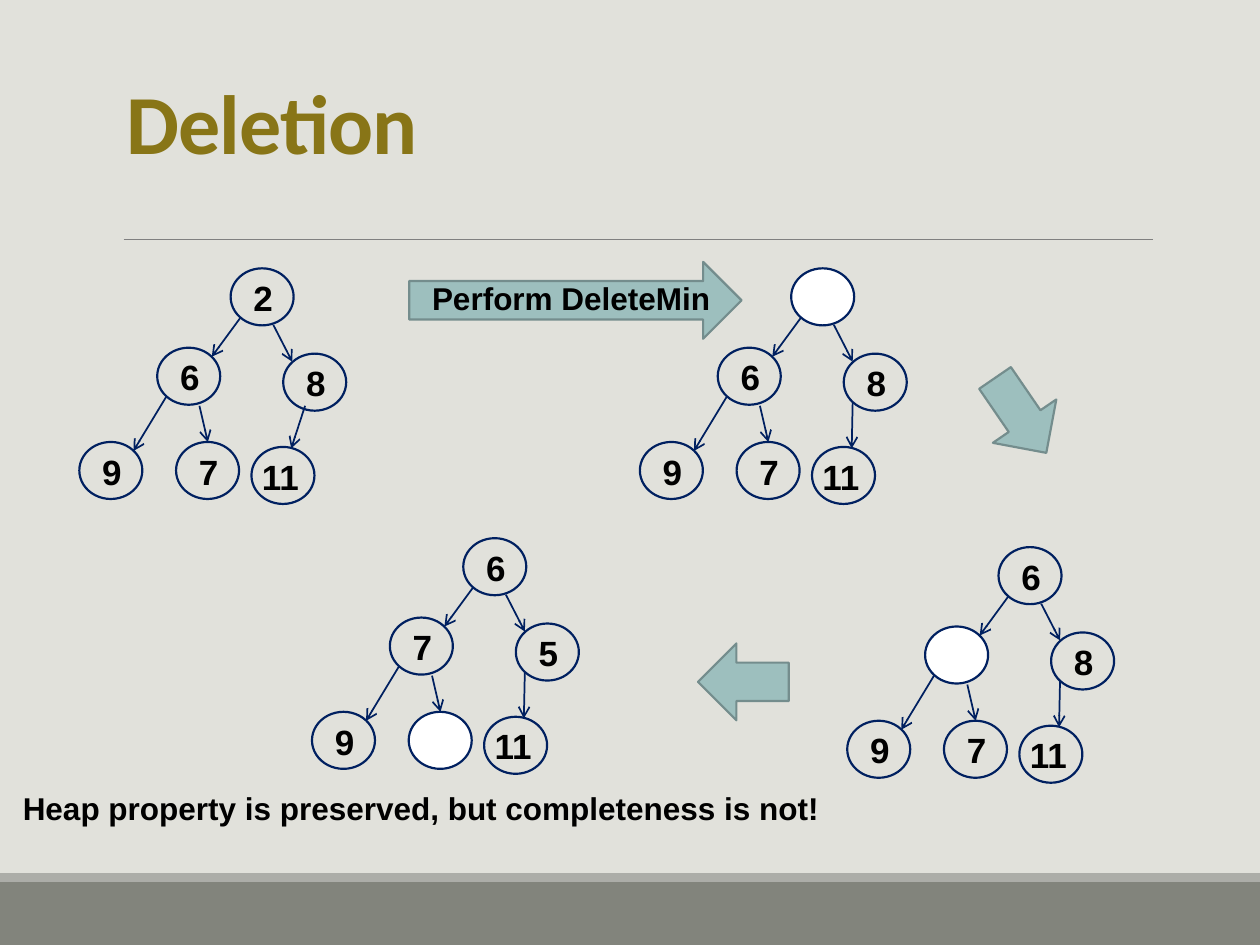
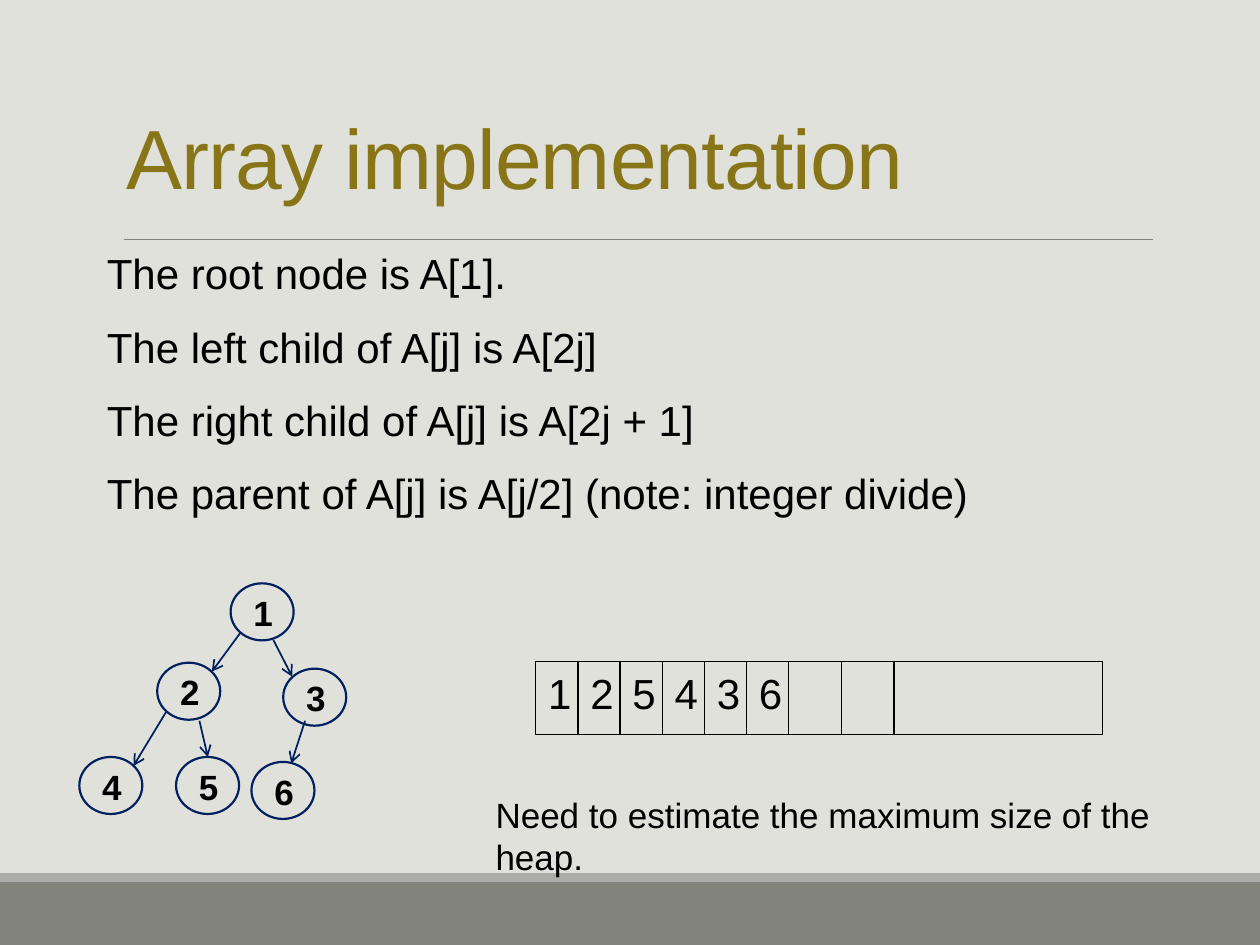
from dataclasses import dataclass
from itertools import accumulate

from lxml import etree
from pptx import Presentation
from pptx.dml.color import RGBColor
from pptx.enum.shapes import MSO_CONNECTOR, MSO_SHAPE
from pptx.enum.text import MSO_ANCHOR, MSO_AUTO_SIZE, PP_ALIGN
from pptx.oxml.ns import qn
from pptx.util import Cm, Pt

LINE = MSO_CONNECTOR.STRAIGHT
RECTANGLE, ELLIPSE, ARROW = MSO_SHAPE.RECTANGLE, MSO_SHAPE.OVAL, MSO_SHAPE.RIGHT_ARROW
BOTTOM, TOP, LEFT = MSO_ANCHOR.BOTTOM, MSO_ANCHOR.TOP, PP_ALIGN.LEFT
NO_AUTOFIT = MSO_AUTO_SIZE.NONE
TITLE_AND_BODY, TITLE_ONLY = 1, 5


@dataclass(frozen=True)
class Theme:
    background: RGBColor = RGBColor.from_string("E1E1DB")
    footer: RGBColor = RGBColor.from_string("82847C")
    footer_edge: RGBColor = RGBColor.from_string("ACADA8")
    rule: RGBColor = RGBColor.from_string("808080")
    title: RGBColor = RGBColor.from_string("887517")
    text: RGBColor = RGBColor.from_string("000000")
    tree: RGBColor = RGBColor.from_string("002060")
    vacant: RGBColor = RGBColor.from_string("FFFFFF")
    arrow: RGBColor = RGBColor.from_string("9DBFBE")
    arrow_edge: RGBColor = RGBColor.from_string("748D8D")
    font: str = "Arial"
    bold_title_font: str = "Calibri"
    title_size: int = 48
    body_size: int = 24
    label_size: int = 20
    caption_size: int = 18


THEME = Theme()

# Tree layout in cm, measured from the corner of the root, in level order
NODE_WIDTH, NODE_HEIGHT = 1.27, 1.15
NODE_OFFSETS = [(0, 0), (-1.48, 1.6), (1.06, 1.72), (-3.05, 3.5), (-1.1, 3.5), (0.42, 3.6)]
EDGES = [
    ((0.2, 0.99), (-0.38, 1.78)),
    ((0.86, 1.14), (1.24, 1.88)),
    ((-1.3, 2.59), (-1.96, 3.68)),
    ((-0.63, 2.77), (-0.46, 3.5)),
]
LAST_EDGE_END = (1.22, 3.63)
SLANTED_START, UPRIGHT_START = (1.5, 2.77), (1.24, 2.69)


# Basic elements
def write_text(frame, *lines, size, font=THEME.font, color=THEME.text, bold=False,
               anchor=TOP, wrap=True, line_spacing=1.0, space_before=0, tracking=0):
    frame.auto_size = NO_AUTOFIT
    frame.word_wrap = wrap
    frame.vertical_anchor = anchor
    for number, line in enumerate(lines):
        paragraph = frame.add_paragraph() if number else frame.paragraphs[0]
        paragraph.alignment = LEFT
        paragraph.line_spacing = line_spacing
        paragraph.space_before = Pt(space_before if number else 0)
        run = paragraph.add_run()
        run.text = line
        run.font.name, run.font.size, run.font.bold = font, Pt(size), bold
        run.font.color.rgb = color
        if tracking:
            run.font._element.set("spc", str(round(tracking * 100)))


def place(shape, left, top, width, height):
    shape.left, shape.top = Cm(left), Cm(top)
    shape.width, shape.height = Cm(width), Cm(height)


def add_text(shapes, text, left, top, width, height, **text_format):
    box = shapes.add_textbox(Cm(left), Cm(top), Cm(width), Cm(height))
    write_text(box.text_frame, text, **text_format)


def add_figure(shapes, preset, left, top, width, height, *, fill=None, line=None,
               line_width=1.25, rotation=0):
    figure = shapes.add_shape(preset, Cm(left), Cm(top), Cm(width), Cm(height))
    figure.shadow.inherit = False
    figure.rotation = rotation
    if fill is None:
        figure.fill.background()
    else:
        figure.fill.solid()
        figure.fill.fore_color.rgb = fill
    if line is None:
        figure.line.fill.background()
    else:
        figure.line.color.rgb = line
        figure.line.width = Pt(line_width)
    return figure


def add_line(shapes, start, end, *, color, width, arrowhead=False):
    line = shapes.add_connector(LINE, *(Cm(value) for value in (*start, *end)))
    line.line.color.rgb = color
    line.line.width = Pt(width)
    properties = line.element.spPr
    if arrowhead:
        etree.SubElement(properties.find(qn("a:ln")), qn("a:tailEnd"), type="arrow")
    etree.SubElement(properties, qn("a:effectLst"))
    return line


# What all slides share
def set_up_master(presentation, slide):
    master = presentation.slide_master
    master.background.fill.solid()
    master.background.fill.fore_color.rgb = THEME.background
    decorations = [
        add_figure(slide.shapes, RECTANGLE, 0, 17.78, 25.4, 1.27, fill=THEME.footer),
        add_figure(slide.shapes, RECTANGLE, 0, 17.6, 25.4, 0.18, fill=THEME.footer_edge),
        add_line(slide.shapes, (2.49, 4.83), (23.24, 4.83), color=THEME.rule, width=0.5),
    ]
    # Moved behind the placeholders of the master
    for position, decoration in enumerate(decorations, start=2):
        master.shapes.element.insert(position, decoration.element)


def set_title(slide, text, height, **text_format):
    place(slide.shapes.title, 2.29, 0.79, 20.95, height)
    write_text(slide.shapes.title.text_frame, text, size=THEME.title_size, color=THEME.title,
               anchor=BOTTOM, line_spacing=0.85, tracking=-0.5, **text_format)


# Heap diagrams
def add_node(shapes, value, left, top):
    add_figure(shapes, ELLIPSE, left, top, NODE_WIDTH, NODE_HEIGHT, line=THEME.tree,
               fill=THEME.vacant if value is None else None)
    if value is None:
        return
    shift, width = (0.21, 1.27) if value < 10 else (-0.04, 1.52)
    add_text(shapes, str(value), left + shift, top + 0.04, width, 1.12,
             size=THEME.label_size, bold=True)


def add_heap(shapes, values, left, top, last_edge_start=UPRIGHT_START):
    """Draw values in level order; None is a vacant node."""
    for value, (dx, dy) in zip(values, NODE_OFFSETS):
        add_node(shapes, value, left + dx, top + dy)
    for edge in [*EDGES, (last_edge_start, LAST_EDGE_END)]:
        start, end = ((left + dx, top + dy) for dx, dy in edge)
        add_line(shapes, start, end, color=THEME.tree, width=1, arrowhead=True)


def add_step_arrow(shapes, left, top, width, rotation=0):
    add_figure(shapes, ARROW, left, top, width, 1.55, fill=THEME.arrow,
               line=THEME.arrow_edge, rotation=rotation)


def add_array(shapes, values, left, top):
    width, height, cell, spare_cell = 11.43, 1.48, 0.85, 1.06
    array = shapes.add_group_shape().shapes
    add_figure(array, RECTANGLE, left, top, width, height, line=THEME.text, line_width=0.75)
    cell_widths = [cell] * len(values) + [spare_cell] * 2
    for offset in accumulate(cell_widths):
        add_line(array, (left + offset, top), (left + offset, top + height),
                 color=THEME.text, width=0.75)
    for index, value in enumerate(values):
        add_text(array, str(value), left + index * cell, top, 1.48, 1.27,
                 size=THEME.body_size)


# Slides
def build_deletion(slide):
    shapes = slide.shapes
    set_title(slide, "Deletion", 2.79, font=THEME.bold_title_font, bold=True)

    add_step_arrow(shapes, 8.25, 5.28, 6.7)
    add_text(shapes, "Perform DeleteMin", 8.46, 5.51, 6.17, 1.02,
             size=THEME.caption_size, bold=True, wrap=False)
    add_step_arrow(shapes, 19.66, 7.6, 1.83, rotation=55.6)
    add_step_arrow(shapes, 14.07, 12.97, 1.83, rotation=180)

    add_heap(shapes, [2, 6, 8, 9, 7, 11], 4.65, 5.41, SLANTED_START)
    add_heap(shapes, [None, 6, 8, 9, 7, 11], 15.95, 5.41)
    add_heap(shapes, [6, None, 8, 9, 7, 11], 20.13, 11.03)
    add_heap(shapes, [6, 7, 5, 9, None, 11], 9.34, 10.85)

    add_text(shapes, "Heap property is preserved, but completeness is not!",
             0.21, 15.78, 16.59, 1.02, size=THEME.caption_size, bold=True)


def build_array_implementation(slide):
    shapes = slide.shapes
    set_title(slide, "Array implementation", 3.5)

    rules = slide.placeholders[1]
    place(rules, 1.9, 4.87, 20.32, 5.84)
    write_text(rules.text_frame,
               "The root node is A[1].",
               "The left child of A[j] is A[2j]",
               "The right child of A[j] is A[2j + 1]",
               "The parent of A[j] is A[j/2] (note: integer divide)",
               size=THEME.body_size, space_before=13)
    for paragraph in rules.text_frame.paragraphs:
        properties = paragraph._p.get_or_add_pPr()
        properties.set("marL", "0")
        properties.set("indent", "0")
        etree.SubElement(properties, qn("a:buNone"))

    add_array(shapes, [1, 2, 5, 4, 3, 6], 10.8, 13.33)
    add_text(shapes, "Need to estimate the maximum size of the heap.",
             9.74, 15.88, 15.66, 1.1, size=THEME.label_size)
    add_heap(shapes, [1, 2, 3, 4, 5, 6], 4.65, 11.76, SLANTED_START)


def main():
    presentation = Presentation()
    presentation.slide_width, presentation.slide_height = Cm(25.4), Cm(19.05)
    layouts = presentation.slide_layouts
    deletion = presentation.slides.add_slide(layouts[TITLE_ONLY])
    array_implementation = presentation.slides.add_slide(layouts[TITLE_AND_BODY])
    set_up_master(presentation, deletion)
    build_deletion(deletion)
    build_array_implementation(array_implementation)
    presentation.save("out.pptx")


if __name__ == "__main__":
    main()
